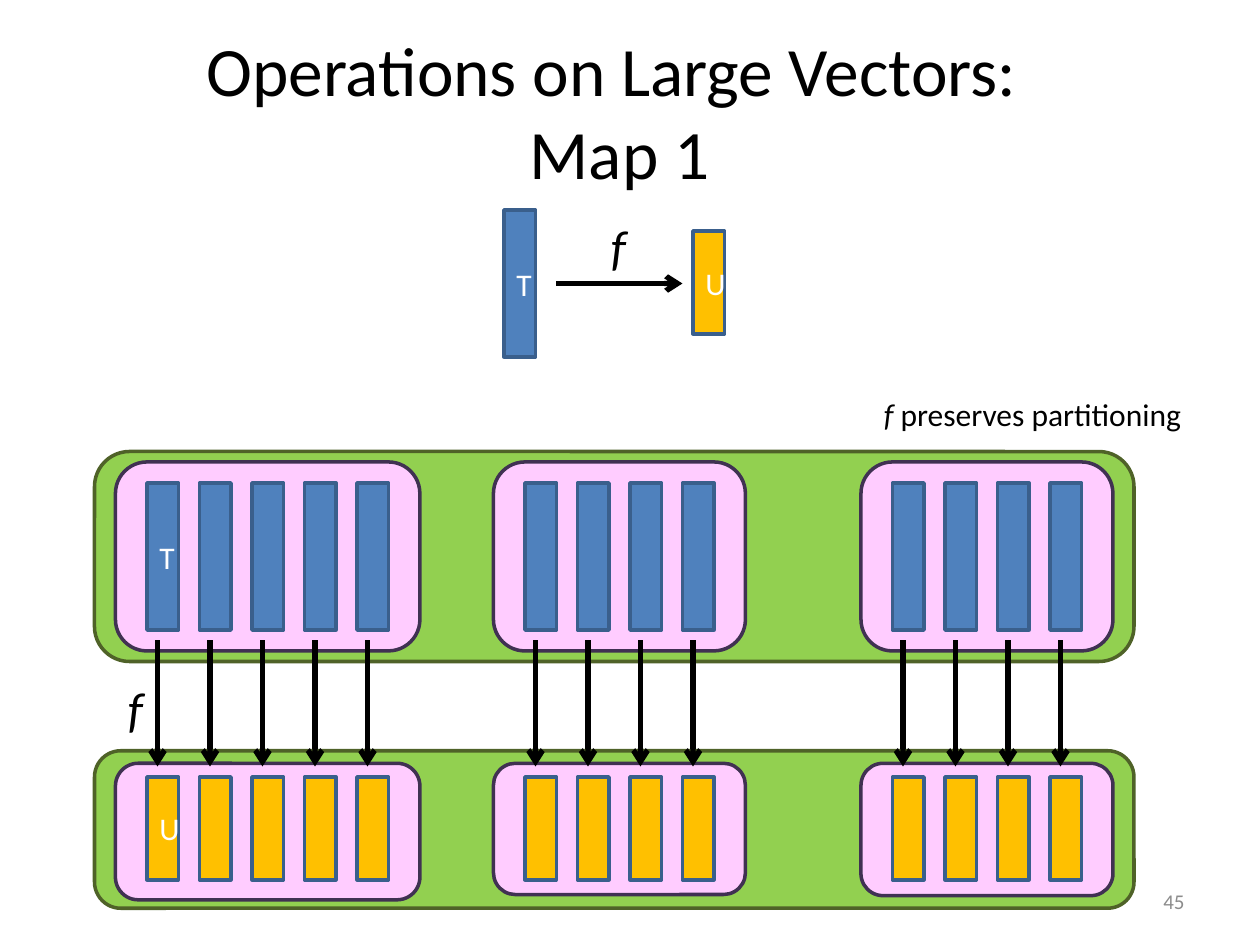
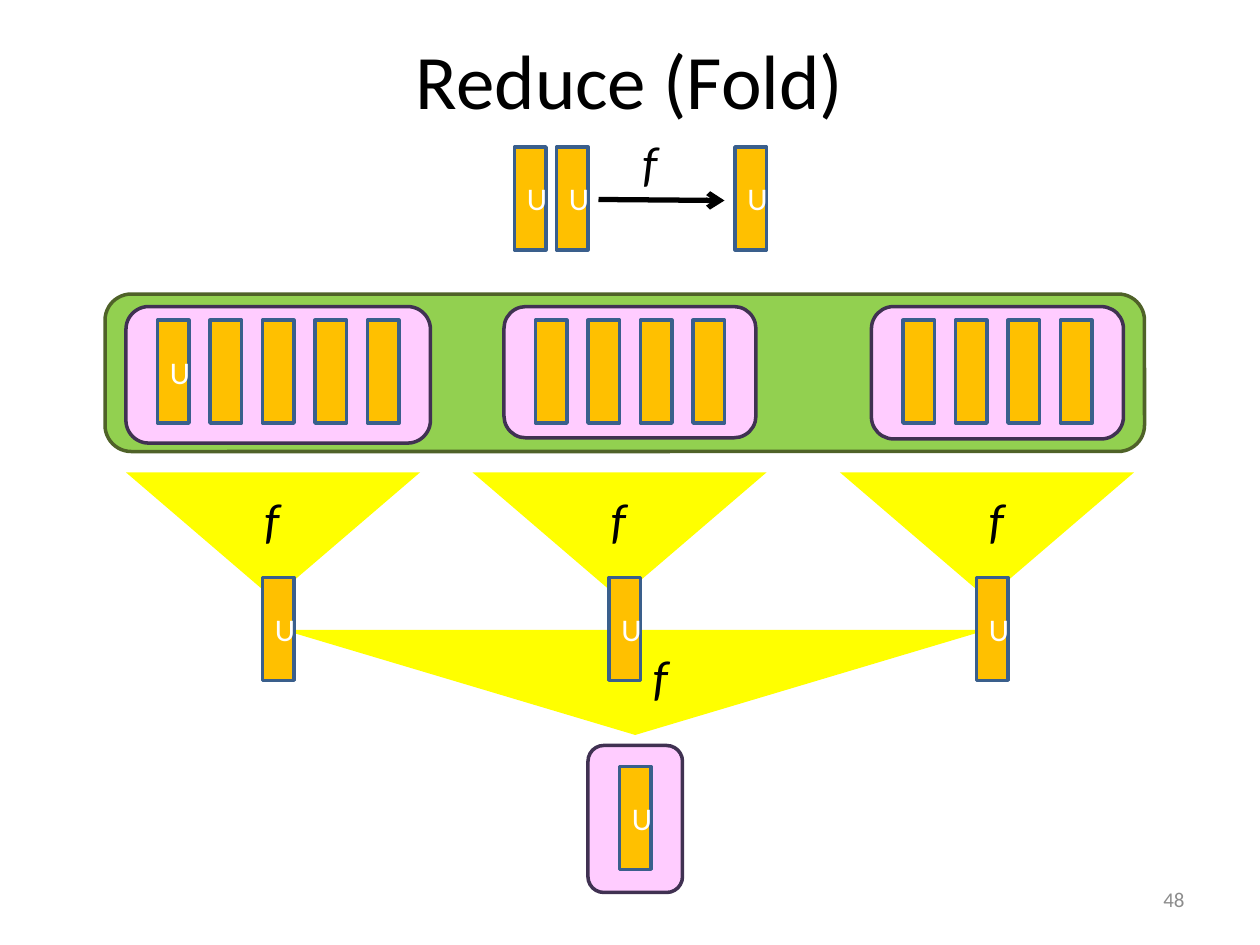
from lxml.etree import SubElement
from pptx import Presentation
from pptx.dml.color import RGBColor
from pptx.enum.shapes import MSO_CONNECTOR, MSO_SHAPE
from pptx.enum.text import MSO_ANCHOR, MSO_AUTO_SIZE, PP_ALIGN
from pptx.oxml.ns import qn
from pptx.util import Emu, Pt

FONT = "Calibri"
BLACK, WHITE, GRAY = "000000", "FFFFFF", "8C8C8C"
GREEN, DARK_GREEN = "92D050", "4F6228"
PINK, PURPLE = "FFCCFF", "403152"
BLUE, GOLD, BAR_EDGE = "4F81BD", "FFC000", "3A5F8C"
YELLOW = "FFFF00"

BAR_W, BAR_STEP = 30, 50
T_H, U_H = 140, 98
PARTITIONS = [(20, 290, 5), (380, 240, 4), (730, 240, 4)]


def px(n):
    return Emu(n * 7620)


def color(value):
    return RGBColor.from_string(value)


def add_run(p, text, size, fill, italic=False):
    r = p.add_run()
    r.text = text
    r.font.name = FONT
    r.font.size = Pt(size)
    r.font.italic = italic
    r.font.color.rgb = color(fill)


def add_shape(slide, kind, x, y, w, h, fill, edge=None):
    sp = slide.shapes.add_shape(kind, px(x), px(y), px(w), px(h))
    sp.shadow.inherit = False
    sp.fill.solid()
    sp.fill.fore_color.rgb = color(fill)
    if edge:
        sp.line.color.rgb = color(edge)
        sp.line.width = Pt(2)
    else:
        sp.line.fill.background()
    return sp


def add_bar(slide, x, y, h, fill, label=""):
    sp = add_shape(slide, MSO_SHAPE.RECTANGLE, x, y, BAR_W, h, fill, BAR_EDGE)
    if label:
        tf = sp.text_frame
        tf.vertical_anchor = MSO_ANCHOR.MIDDLE
        p = tf.paragraphs[0]
        p.alignment = PP_ALIGN.CENTER
        add_run(p, label, 18, WHITE)


def add_t(slide, x, y, label="T"):
    add_bar(slide, x, y, T_H, BLUE, label)


def add_u(slide, x, y, label="U"):
    add_bar(slide, x, y, U_H, GOLD, label)


def add_box(slide, x, y, w, h):
    add_shape(slide, MSO_SHAPE.ROUNDED_RECTANGLE, x, y, w, h, PINK, PURPLE)


def add_vector(slide, x, y, h, box_dy, box_heights, bar_dy, draw_bar, label):
    add_shape(slide, MSO_SHAPE.ROUNDED_RECTANGLE, x, y, 990, h, GREEN, DARK_GREEN)
    for (dx, w, count), box_h in zip(PARTITIONS, box_heights):
        add_box(slide, x + dx, y + box_dy, w, box_h)
        for i in range(count):
            draw_bar(slide, x + dx + 30 + i * BAR_STEP, y + bar_dy, label)
            label = ""


def add_t_vector(slide, x, y):
    add_vector(slide, x, y, 200, 10, (180, 180, 180), 30, add_t, "T")


def add_u_vector(slide, x, y):
    add_vector(slide, x, y, 150, 12, (130, 125, 126), 25, add_u, "U")


def add_funnel(slide, x, y, w, h):
    sp = add_shape(slide, MSO_SHAPE.ISOSCELES_TRIANGLE, x, y, w, h, YELLOW)
    sp._element.spPr.xfrm.set("flipV", "1")


def add_arrow(slide, x1, y1, x2, y2):
    line = slide.shapes.add_connector(
        MSO_CONNECTOR.STRAIGHT, px(x1), px(y1), px(x2), px(y2))
    line.line.color.rgb = color(BLACK)
    line.line.width = Pt(3)
    SubElement(line.line._get_or_add_ln(), qn("a:tailEnd"), type="arrow")
    SubElement(line._element.spPr, qn("a:effectLst"))


def add_text_box(slide, x, y, w, h):
    return slide.shapes.add_textbox(px(x), px(y), px(w), px(h)).text_frame


def add_block(slide, x, y, w, h, align):
    tf = add_text_box(slide, x, y, w, h)
    tf.word_wrap = True
    tf.vertical_anchor = MSO_ANCHOR.MIDDLE
    p = tf.paragraphs[0]
    p.alignment = align
    return p


def add_title(slide, x, y, lines, size):
    p = add_block(slide, x, y, 1080, 150, PP_ALIGN.CENTER)
    for i, text in enumerate(lines):
        if i:
            p.add_line_break()
        add_run(p, text, size, BLACK)


def add_page_number(slide, y, number):
    p = add_block(slide, 860, y, 280, 48, PP_ALIGN.RIGHT)
    add_run(p, number, 12, GRAY)


def add_label(slide, x, y, w, h, size, tail=""):
    tf = add_text_box(slide, x, y, w, h)
    tf.word_wrap = False
    tf.auto_size = MSO_AUTO_SIZE.SHAPE_TO_FIT_TEXT
    p = tf.paragraphs[0]
    add_run(p, "f", size, BLACK, italic=True)
    if tail:
        add_run(p, tail, size, BLACK)


def add_f(slide, x, y):
    add_label(slide, x, y, 38, 68, 28)


def build_map(slide):
    left = 90
    add_title(slide, 50, 30, ["Operations on Large Vectors: ", "Map 1"], 39.6)
    add_page_number(slide, 834, "45")
    add_u_vector(slide, left, 715)
    add_t_vector(slide, left, 430)
    add_t(slide, 480, 200)
    add_u(slide, 660, 220)
    add_arrow(slide, 530, 270, 650, 270)
    add_f(slide, 570, 200)
    for dx, _, count in PARTITIONS:
        for i in range(count):
            x = left + dx + 40 + i * BAR_STEP
            add_arrow(slide, x, 610, x, 730)
    add_f(slide, 110, 640)
    add_label(slide, 830, 370, 316, 48, 18, " preserves partitioning")


def build_reduce(slide):
    add_box(slide, 560, 710, 90, 140)
    add_title(slide, 60, 0, ["Reduce (Fold)"], 44)
    add_page_number(slide, 832, "48")
    for x in (490, 530, 700):
        add_u(slide, x, 140)
    add_arrow(slide, 570, 190, 690, 191)
    add_f(slide, 600, 120)
    add_u(slide, 590, 730)
    for x in (120, 450, 800):
        add_funnel(slide, x, 450, 280, 120)
    add_funnel(slide, 270, 600, 670, 100)
    for x in (240, 570, 930):
        add_f(slide, x, 460)
    add_f(slide, 610, 610)
    for x in (250, 580, 930):
        add_u(slide, x, 550)
    add_u_vector(slide, 100, 280)


def main():
    prs = Presentation()
    prs.slide_width, prs.slide_height = px(1200), px(900)
    for build in (build_map, build_reduce):
        build(prs.slides.add_slide(prs.slide_layouts[6]))
    prs.save("out.pptx")


if __name__ == "__main__":
    main()
